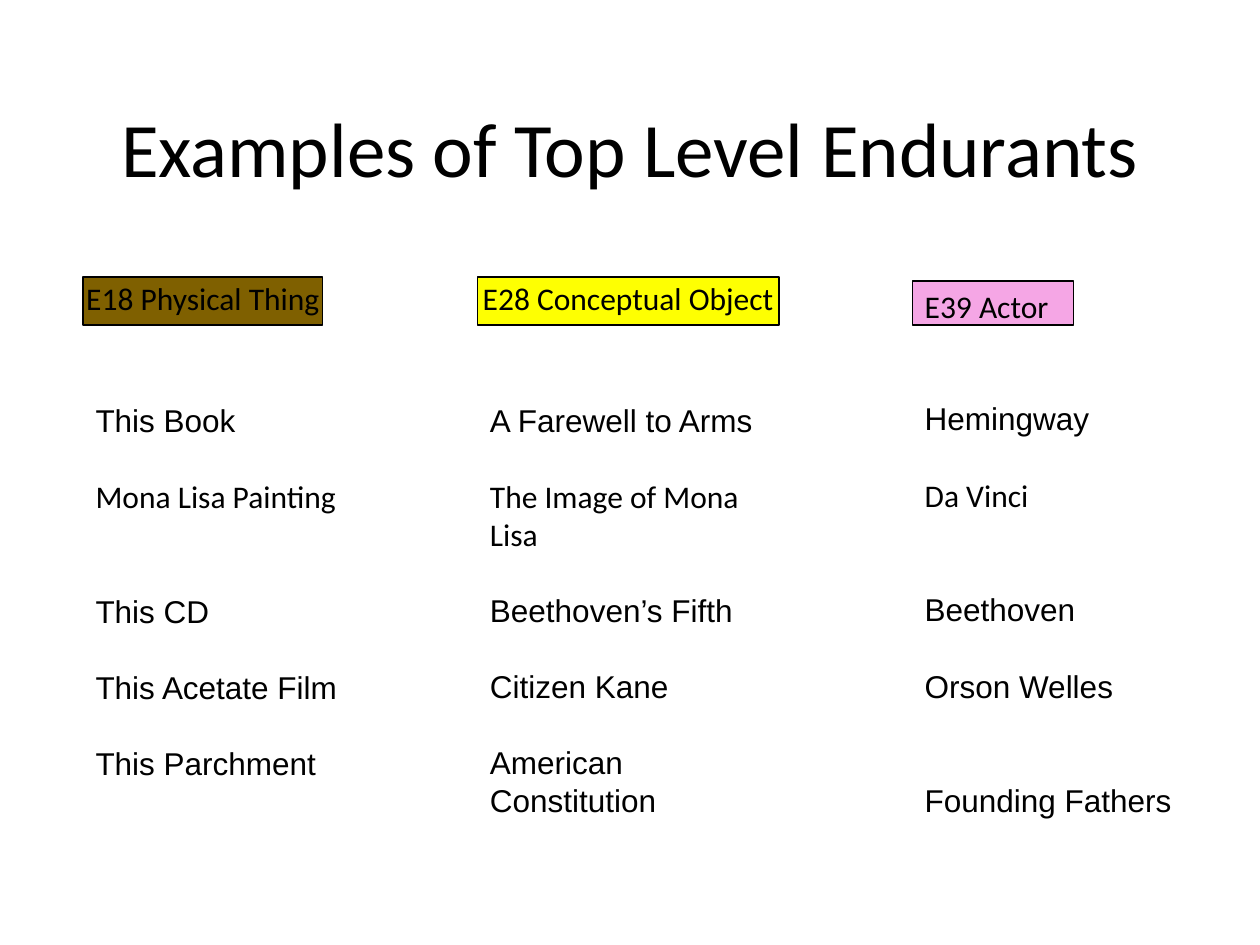
import dataclasses

import pptx
import pptx.dml.color
import pptx.enum.shapes
import pptx.enum.text
import pptx.util

Inches = pptx.util.Inches
Pt = pptx.util.Pt
Align = pptx.enum.text.PP_ALIGN
Anchor = pptx.enum.text.MSO_ANCHOR
AutoSize = pptx.enum.text.MSO_AUTO_SIZE

COLORS = {
    "text": "000000",
    "physical": "7F6000",
    "conceptual": "FEFF02",
    "actor": "F5A6E5",
}
TEXT_SIZE = 18
LINE_GAP = 22  # points of space that stand for one skipped line


@dataclasses.dataclass
class Example:
    text: str
    skipped_lines: int = 1
    font: str = "Arial"


@dataclasses.dataclass
class Category:
    label: str
    color: str
    left: float
    label_top: float
    label_width: float
    label_height: float
    line_width: float
    fitted: bool  # centred label with narrow side margins
    list_top: float
    list_height: float
    examples: list[Example]


CATEGORIES = [
    Category("E18 Physical Thing", "physical", 0.66, 2.2, 1.9, 0.38, 1, True, 3.13, 3.74, [
        Example("This Book", 0),
        Example("Mona Lisa Painting", font="Calibri"),
        Example("This CD", 2),
        Example("This Acetate Film"),
        Example("This Parchment"),
    ]),
    Category("E28 Conceptual Object", "conceptual", 3.79, 2.2, 2.39, 0.38, 1, True, 3.13, 3.43, [
        Example("A Farewell to Arms", 0),
        Example("The Image of Mona Lisa", font="Calibri"),
        Example("Beethoven’s Fifth"),
        Example("Citizen Kane"),
        Example("American Constitution"),
    ]),
    Category("E39 Actor", "actor", 7.24, 2.23, 1.28, 0.35, 0.75, False, 3.12, 3.43, [
        Example("Hemingway", 0),
        Example("Da Vinci", font="Calibri"),
        Example("Beethoven", 2),
        Example("Orson Welles"),
        Example("Founding Fathers", 2),
    ]),
]


def rgb(name: str) -> pptx.dml.color.RGBColor:
    return pptx.dml.color.RGBColor.from_string(COLORS[name])


def format_runs(para, font: str, size: float = TEXT_SIZE) -> None:
    for span in para.runs:
        span.font.name = font
        span.font.size = Pt(size)
        span.font.color.rgb = rgb("text")


def add_title(page, text: str) -> None:
    title = page.shapes.title
    title.left, title.top = Inches(0.34), Inches(0.65)
    title.width, title.height = Inches(9.32), Inches(1.03)
    frame = title.text_frame
    frame.text = text
    frame.vertical_anchor = Anchor.MIDDLE
    frame.margin_left = frame.margin_right = Inches(0.1)
    frame.margin_top = frame.margin_bottom = Inches(0.1)
    para = frame.paragraphs[0]
    para.alignment = Align.CENTER
    format_runs(para, "Calibri", 44)


def add_label(page, category: Category) -> None:
    box = page.shapes.add_shape(
        pptx.enum.shapes.MSO_SHAPE.RECTANGLE,
        Inches(category.left), Inches(category.label_top),
        Inches(category.label_width), Inches(category.label_height))
    box.shadow.inherit = False
    box.fill.solid()
    box.fill.fore_color.rgb = rgb(category.color)
    box.line.color.rgb = rgb("text")
    box.line.width = Pt(category.line_width)
    frame = box.text_frame
    frame.text = category.label
    frame.vertical_anchor = Anchor.TOP
    para = frame.paragraphs[0]
    para.alignment = Align.LEFT
    if category.fitted:
        frame.margin_left = frame.margin_right = Inches(0.01)
        frame.word_wrap = False
        frame.auto_size = AutoSize.SHAPE_TO_FIT_TEXT
        para.alignment = Align.CENTER
        para.line_spacing = 0.9
    format_runs(para, "Calibri")


def add_examples(page, category: Category) -> None:
    box = page.shapes.add_textbox(
        Inches(category.left), Inches(category.list_top),
        Inches(2.29), Inches(category.list_height))
    frame = box.text_frame
    frame.word_wrap = True
    frame.auto_size = AutoSize.SHAPE_TO_FIT_TEXT
    frame.text = "\n".join(example.text for example in category.examples)
    for para, example in zip(frame.paragraphs, category.examples):
        para.space_before = Pt(LINE_GAP * example.skipped_lines)
        format_runs(para, example.font)


def main() -> None:
    deck = pptx.Presentation()
    deck.slide_width, deck.slide_height = Inches(10), Inches(7.5)
    page = deck.slides.add_slide(deck.slide_layouts.get_by_name("Title Only"))

    # Title
    add_title(page, "Examples of Top Level Endurants")

    # One column per category: coloured label above its examples
    for category in CATEGORIES:
        add_label(page, category)
        add_examples(page, category)

    deck.save("out.pptx")


if __name__ == "__main__":
    main()
